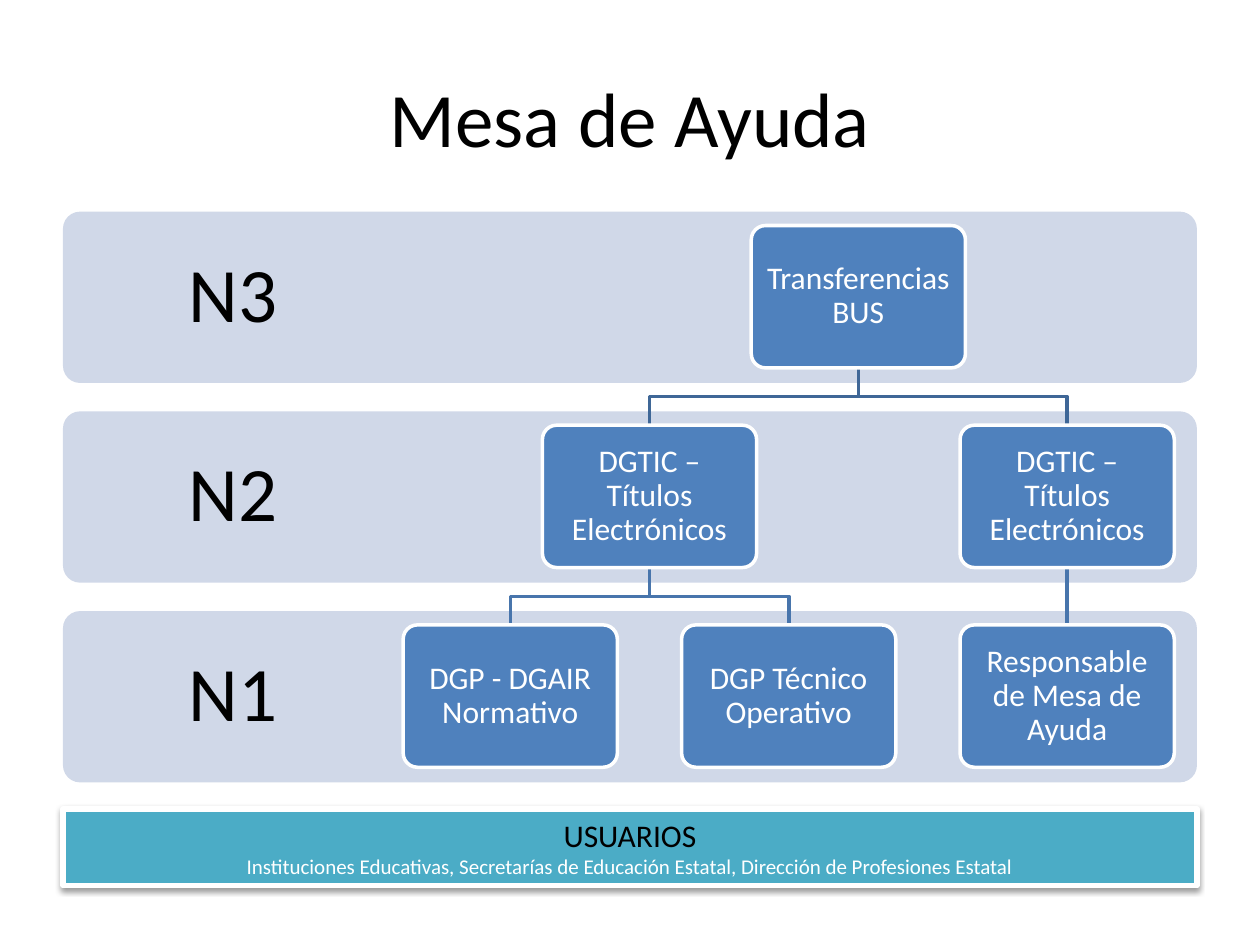
from dataclasses import dataclass
from typing import Any

from lxml.etree import SubElement
from pptx import Presentation
from pptx.dml.color import RGBColor
from pptx.enum.shapes import MSO_CONNECTOR as Connector, MSO_SHAPE as Preset
from pptx.enum.text import MSO_ANCHOR as Anchor, PP_ALIGN as Align
from pptx.oxml.ns import qn
from pptx.util import Inches, Pt

COLORS = {
    "black": "000000", "white": "FFFFFF", "band": "D0D8E8", "node": "4F81BD",
    "upper_link": "3F6797", "lower_link": "4875AC", "users": "4BACC6",
}
LEFT, WIDTH = 0.5, 9
BAND_TOP, BAND_HEIGHT, BAND_PITCH = 1.68, 1.36, (4.85 - 1.68) / 2
NODE_LEFT, NODE_PITCH = 3.2, 2.21
NODE_WIDTH, NODE_HEIGHT, NODE_INSET = 1.7, 1.13, 0.11
LEVELS = ["N3", "N2", "N1"]


@dataclass(frozen=True)
class Node:
    text: str
    column: float
    level: int

    @property
    def left(self) -> float:
        return NODE_LEFT + self.column * NODE_PITCH

    @property
    def center(self) -> float:
        return self.left + NODE_WIDTH / 2

    @property
    def top(self) -> float:
        return BAND_TOP + self.level * BAND_PITCH + NODE_INSET

    @property
    def bottom(self) -> float:
        return self.top + NODE_HEIGHT


@dataclass(frozen=True)
class Line:
    text: str
    size: int
    color: str


@dataclass(frozen=True)
class Link:
    parent: Node
    child: Node
    color: str


def rgb(name: str) -> RGBColor:
    return RGBColor.from_string(COLORS[name])


def apply(target: Any, values: dict[str, Any]) -> None:
    for name, value in values.items():
        setattr(target, name, value)


def write(box: Any, lines: list[Line], margin: float = 0.1, spacing: float = 1.0) -> None:
    frame = box.text_frame
    apply(frame, {"word_wrap": True, "vertical_anchor": Anchor.MIDDLE,
                  "margin_left": Inches(margin), "margin_right": Inches(margin),
                  "margin_top": Inches(margin / 2), "margin_bottom": Inches(margin / 2)})
    for index, line in enumerate(lines):
        para = frame.add_paragraph() if index else frame.paragraphs[0]
        apply(para, {"alignment": Align.CENTER, "line_spacing": spacing})
        span = para.add_run()
        span.text = line.text
        apply(span.font, {"name": "Calibri", "size": Pt(line.size)})
        span.font.color.rgb = rgb(line.color)


def add_text(page: Any, place: tuple[float, ...], line: Line, spacing: float = 1.0) -> None:
    write(page.shapes.add_textbox(*map(Inches, place)), [line], spacing=spacing)


def add_box(page: Any, preset: Preset, place: tuple[float, ...], fill: str, border: int = 0) -> Any:
    box = page.shapes.add_shape(preset, *map(Inches, place))
    box.shadow.inherit = False
    box.fill.solid()
    box.fill.fore_color.rgb = rgb(fill)
    if border:
        box.line.color.rgb = rgb("white")
        box.line.width = Pt(border)
    else:
        box.line.fill.background()
    if preset == Preset.ROUNDED_RECTANGLE:
        box.adjustments[0] = 0.1
    return box


def add_band(page: Any, level: int, label: str) -> None:
    top = BAND_TOP + level * BAND_PITCH
    add_box(page, Preset.ROUNDED_RECTANGLE, (LEFT, top, WIDTH, BAND_HEIGHT), "band")
    add_text(page, (LEFT, top, 2.7, BAND_HEIGHT), Line(label, 44, "black"), spacing=0.9)


def add_node(page: Any, node: Node) -> None:
    place = (node.left, node.top, NODE_WIDTH, NODE_HEIGHT)
    box = add_box(page, Preset.ROUNDED_RECTANGLE, place, "node", 2)
    write(box, [Line(node.text, 18, "white")], margin=0.06, spacing=0.9)


def add_link(page: Any, link: Link) -> None:
    start, end = link.parent, link.child
    middle = (start.bottom + end.top) / 2
    points = [(Inches(x), Inches(y)) for x, y in (
        (start.center, start.bottom), (start.center, middle),
        (end.center, middle), (end.center, end.top))]
    if start.column == end.column:
        shape = page.shapes.add_connector(Connector.STRAIGHT, *points[0], *points[-1])
        SubElement(shape._element.spPr, qn("a:effectLst"))
    else:
        builder = page.shapes.build_freeform(*points[0])
        builder.add_line_segments(points[1:], close=False)
        shape = builder.convert_to_shape()
        shape.fill.background()
        shape.shadow.inherit = False
    shape.line.color.rgb = rgb(link.color)
    shape.line.width = Pt(2)


def add_shadow(box: Any) -> None:
    effects = box._element.spPr.find(qn("a:effectLst"))
    shadow = SubElement(effects, qn("a:outerShdw"), blurRad=str(Pt(3.1)), dist=str(Pt(1.6)),
                        dir="5400000", rotWithShape="0")
    color = SubElement(shadow, qn("a:srgbClr"), val=COLORS["black"])
    SubElement(color, qn("a:alpha"), val="38000")


def add_users(page: Any) -> None:
    box = add_box(page, Preset.RECTANGLE, (LEFT, 6.42, WIDTH, 0.61), "users", 3)
    add_shadow(box)
    write(box, [
        Line("USUARIOS", 18, "black"),
        Line("Instituciones Educativas, Secretarías de Educación Estatal, "
             "Dirección de Profesiones Estatal", 12, "white"),
    ])


def main() -> None:
    """Build the help desk slide with its three support levels."""
    deck = Presentation()
    apply(deck, {"slide_width": Inches(10), "slide_height": Inches(7.5)})
    page = deck.slides.add_slide(deck.slide_layouts[6])

    transfers = Node("Transferencias BUS", 1.25, 0)
    titles_left, titles_right = (
        Node("DGTIC – Títulos Electrónicos", column, 1) for column in (0.5, 2))
    normative = Node("DGP - DGAIR Normativo", 0, 2)
    technical = Node("DGP Técnico Operativo", 1, 2)
    manager = Node("Responsable de Mesa de Ayuda", 2, 2)
    links = [
        Link(transfers, titles_left, "upper_link"),
        Link(transfers, titles_right, "upper_link"),
        Link(titles_left, normative, "lower_link"),
        Link(titles_left, technical, "lower_link"),
        Link(titles_right, manager, "lower_link"),
    ]

    add_text(page, (LEFT, 0.3, WIDTH, 1.25), Line("Mesa de Ayuda", 44, "black"))
    for level, label in enumerate(LEVELS):
        add_band(page, level, label)
    for link in links:
        add_link(page, link)
    for node in (transfers, titles_left, titles_right, normative, technical, manager):
        add_node(page, node)
    add_users(page)
    deck.save("out.pptx")


if __name__ == "__main__":
    main()
